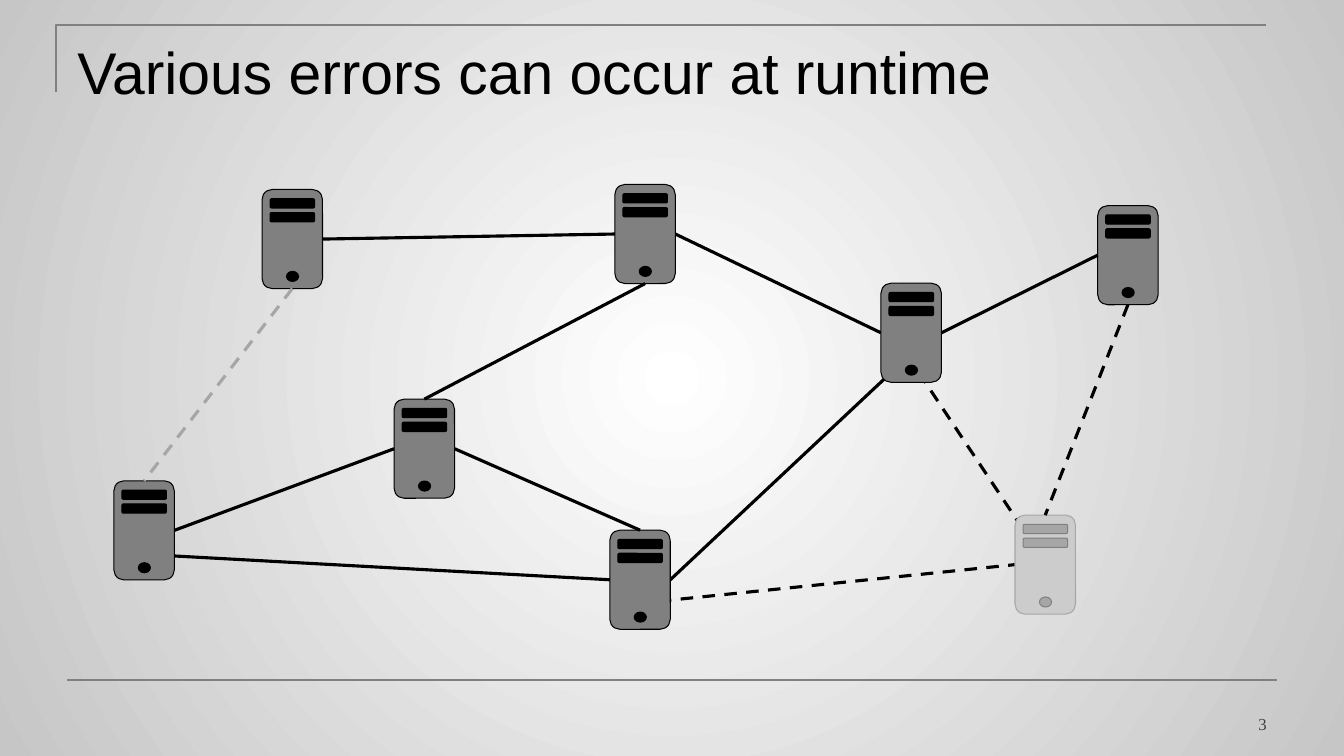
from lxml import etree
from pptx import Presentation
from pptx.dml.color import RGBColor
from pptx.enum.dml import MSO_LINE_DASH_STYLE as Dash
from pptx.enum.shapes import MSO_CONNECTOR as Conn, MSO_SHAPE as Shape
from pptx.enum.text import MSO_ANCHOR as Anchor, MSO_AUTO_SIZE as AutoSize, PP_ALIGN as Align
from pptx.oxml import parse_xml
from pptx.oxml.ns import nsdecls, qn
from pptx.util import Emu, Pt

BLACK = RGBColor(0x00, 0x00, 0x00)
INK = RGBColor(0x40, 0x40, 0x40)
GREY = RGBColor(0x80, 0x80, 0x80)
FADED = RGBColor(0xA6, 0xA6, 0xA6)
PALE = RGBColor(0xCC, 0xCC, 0xCC)
WHITE = RGBColor(0xFF, 0xFF, 0xFF)
EDGE = RGBColor(0xC6, 0xC6, 0xC6)

COLS = 160                          # square grid, twelve cells to the inch
SERVER_W, SERVER_H = 7.2, 11.8
PARTS = [                           # shape, column, row, width, height in a server
    (Shape.ROUNDED_RECTANGLE, 0.96, 1.1, 5.3, 1.1),
    (Shape.ROUNDED_RECTANGLE, 0.96, 2.75, 5.3, 1.1),
    (Shape.OVAL, 2.9, 9.75, 1.45, 1.2),
]
WORKING = (GREY, BLACK, BLACK, BLACK)   # body fill, body line, part fill, part line
FAILED = (PALE, FADED, FADED, GREY)

SERVERS = {
    "north-west": (31.2, 22.56, WORKING),
    "south": (72.6, 63.12, WORKING),
    "north": (73.2, 21.96, WORKING),
    "west": (13.56, 57.24, WORKING),
    "north-east": (130.68, 24.48, WORKING),
    "centre": (46.92, 47.52, WORKING),
    "east": (104.88, 33.72, WORKING),
    "failed": (120.84, 61.32, FAILED),
}

# Points on a server, as shares of its size
LEFT, RIGHT = (0, 0.5), (1, 0.5)
LOW, CORNER = (0.45, 0.74), (0.13, 0.14)
# Connection sites of a server body
TOP_SITE, LEFT_SITE, BOTTOM_SITE, RIGHT_SITE = range(4)

LINKS_BEHIND = [
    ("north", RIGHT, "east", LEFT, {}),
    ("east", LOW, "south", RIGHT, {}),
    ("south", LOW, "failed", LEFT, {"dashed": True}),
    ("failed", CORNER, "east", LOW, {"dashed": True}),
    ("west", LOW, "south", LEFT, {}),
]
LINKS_GLUED = [
    ("north-west", RIGHT_SITE, "north", LEFT_SITE, {}),
    ("north", BOTTOM_SITE, "centre", TOP_SITE, {}),
    ("north-west", BOTTOM_SITE, "west", TOP_SITE, {"color": FADED, "dashed": True}),
    ("centre", LEFT_SITE, "west", RIGHT_SITE, {}),
    ("east", RIGHT_SITE, "north-east", LEFT_SITE, {}),
    ("centre", RIGHT_SITE, "south", TOP_SITE, {}),
    ("north-east", BOTTOM_SITE, "failed", TOP_SITE, {"dashed": True}),
]


class Deck:
    """Holds the style and the current slide; lengths are grid cells."""

    title_format = {"name": "Arial", "size": Pt(42), "bold": False}
    number_format = {"name": "Times New Roman", "size": Pt(12)}

    def __init__(self):
        self.prs = Presentation()
        self.prs.slide_width, self.prs.slide_height = Emu(12192000), Emu(6858000)
        self.cell = self.prs.slide_width // COLS
        self.slide = self.prs.slides.add_slide(self.prs.slide_layouts[5])

    def cells(self, *values):
        return [Emu(round(v * self.cell)) for v in values]

    def background(self, inner, outer):
        self.slide.background.fill.gradient()
        old = self.slide._element.find(".//" + qn("a:gradFill"))
        stops = "".join(f'<a:gs pos="{pos}"><a:srgbClr val="{color}"/></a:gs>'
                        for pos, color in ((0, inner), (100000, outer)))
        old.getparent().replace(old, parse_xml(
            f'<a:gradFill {nsdecls("a")} rotWithShape="1"><a:gsLst>{stops}</a:gsLst>'
            '<a:path path="circle"><a:fillToRect l="50000" t="50000" r="50000" b="50000"/>'
            '</a:path></a:gradFill>'))

    def set_text(self, sp, text, box, fmt, color, align, anchor):
        sp.left, sp.top, sp.width, sp.height = self.cells(*box)
        tf = sp.text_frame
        tf.word_wrap, tf.auto_size, tf.vertical_anchor = True, AutoSize.NONE, anchor
        p = tf.paragraphs[0]
        p.alignment = align
        r = p.add_run()
        r.text = text
        for name, value in fmt.items():
            setattr(r.font, name, value)
        r.font.color.rgb = color

    def title(self, text, box):
        self.set_text(self.slide.shapes.title, text, box, self.title_format,
                      BLACK, Align.LEFT, Anchor.TOP)

    def number(self, text, box):
        sp = self.slide.shapes.add_textbox(0, 0, 0, 0)
        self.set_text(sp, text, box, self.number_format, INK, Align.RIGHT, Anchor.BOTTOM)

    def frame(self, *points):
        start, *rest = [self.cells(*pt) for pt in points]
        builder = self.slide.shapes.build_freeform(*start)
        builder.add_line_segments(rest, close=False)
        sp = builder.convert_to_shape()
        sp.shadow.inherit = False
        sp.fill.background()
        sp.line.color.rgb, sp.line.width = GREY, Pt(1.5)

    def line(self, start, end, color=BLACK, width=2.25, dashed=False):
        ends = self.cells(*start, *end)
        sp = self.slide.shapes.add_connector(Conn.STRAIGHT, *ends)
        sp.line.color.rgb, sp.line.width = color, Pt(width)
        if dashed:
            sp.line.dash_style = Dash.DASH
        etree.SubElement(sp._element.spPr, qn("a:effectLst"))
        return sp

    def shape(self, group, kind, box, fill, line):
        sp = group.shapes.add_shape(kind, *self.cells(*box))
        sp.shadow.inherit = False
        sp.fill.solid()
        sp.fill.fore_color.rgb = fill
        sp.line.color.rgb, sp.line.width = line, Pt(0.75)
        return sp

    def server(self, col, row, style):
        fill, line, part_fill, part_line = style
        group = self.slide.shapes.add_group_shape()
        body = self.shape(group, Shape.ROUNDED_RECTANGLE,
                          (col, row, SERVER_W, SERVER_H), fill, line)
        for kind, dx, dy, w, h in PARTS:
            self.shape(group, kind, (col + dx, row + dy, w, h), part_fill, part_line)
        return body

    def glue(self, a, a_site, b, b_site, **style):
        sp = self.line((0, 0), (1, 1), **style)
        sp.begin_connect(a, a_site)
        sp.end_connect(b, b_site)


def point(name, share):
    col, row, _ = SERVERS[name]
    return col + share[0] * SERVER_W, row + share[1] * SERVER_H


def main():
    deck = Deck()

    # Background, frame lines and title
    deck.background(WHITE, EDGE)
    deck.frame((6.7, 11), (6.7, 3), (150.7, 3))
    deck.line((8, 81), (152, 81), GREY, 1.5)
    deck.title("Various errors can occur at runtime", (8, 3.6, 144, 15))
    deck.number("3", (114.7, 82, 37.3, 6))

    # Links that run behind the servers
    for a, a_share, b, b_share, style in LINKS_BEHIND:
        deck.line(point(a, a_share), point(b, b_share), **style)

    # Servers
    bodies = {name: deck.server(*place) for name, place in SERVERS.items()}

    # Links attached to the servers
    for a, a_site, b, b_site, style in LINKS_GLUED:
        deck.glue(bodies[a], a_site, bodies[b], b_site, **style)

    deck.prs.save("out.pptx")


if __name__ == "__main__":
    main()
